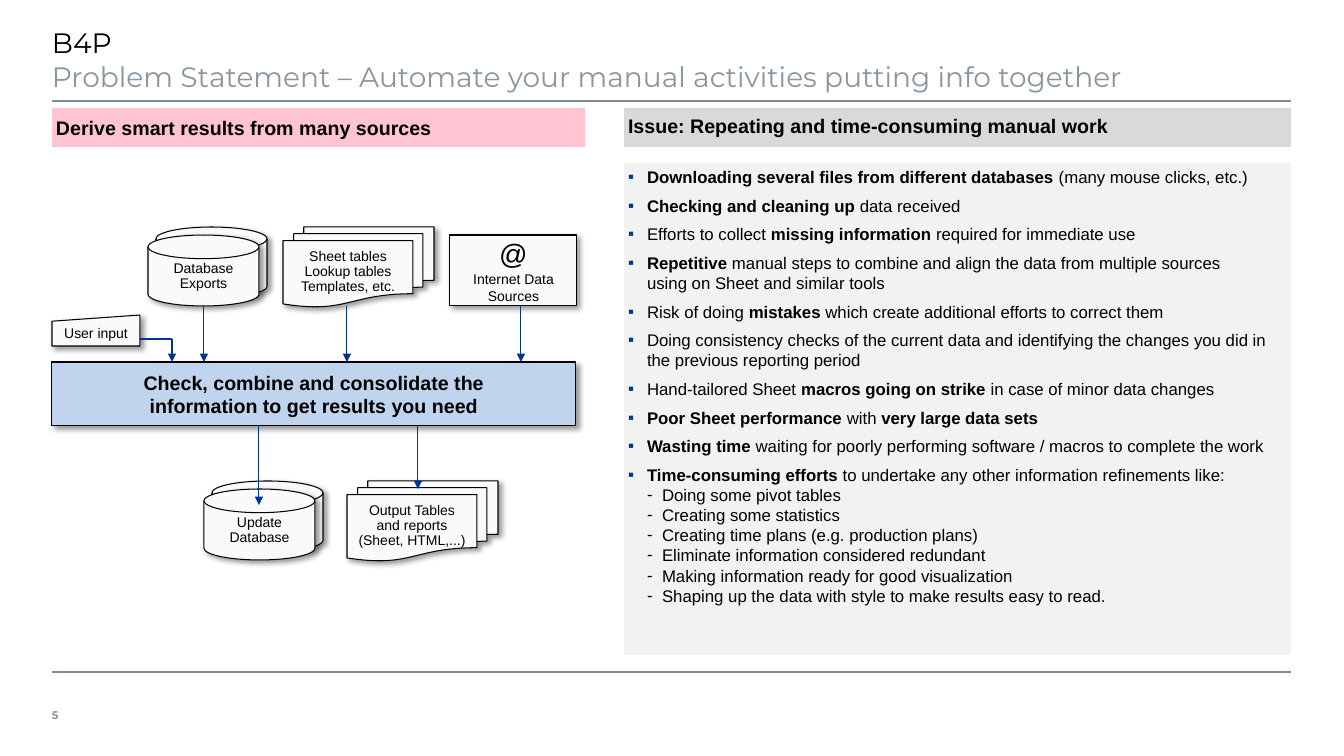
from dataclasses import dataclass

from lxml import etree
from pptx import Presentation
from pptx import util as u
from pptx.dml.color import RGBColor
from pptx.enum import shapes, text
from pptx.oxml import ns

SCALE = 12192000 / 1344
KIND = shapes.MSO_SHAPE
ALIGN = text.PP_ALIGN
ANCHOR = text.MSO_ANCHOR


@dataclass(frozen=True)
class Theme:
    """Colours, fonts and type sizes of the slide."""
    ink: str = "000000"
    muted: str = "8996A0"
    rule: str = "808D97"
    accent: str = "003399"
    pink: str = "FFC4D2"
    grey: str = "D9D9D9"
    panel: str = "F2F2F2"
    paper: str = "FAFAFA"
    blue: str = "C1D4EE"
    body_font: str = "Arial"
    title_font: str = "Montserrat"
    title: int = 20
    heading: int = 14
    body: int = 12
    label: int = 10
    number: int = 8


THEME = Theme()

ISSUES = [
    "**Downloading several files from different databases** (many mouse clicks, etc.)",
    "**Checking and cleaning up **data received",
    "Efforts to collect **missing information **required for immediate use",
    "**Repetitive **manual steps to combine and align the data from multiple sources"
    "\nusing on Sheet and similar tools",
    "Risk of doing **mistakes **which create additional efforts to correct them",
    "Doing consistency checks of the current data and identifying the changes "
    "you did in the previous reporting period",
    "Hand-tailored Sheet **macros going on strike **in case of minor data changes",
    "**Poor Sheet performance** with **very large data sets**",
    "**Wasting time** waiting for poorly performing software / macros to complete the work",
    "**Time-consuming efforts **to undertake any other information refinements like:",
]
REFINEMENTS = [
    "Doing some pivot tables",
    "Creating some statistics",
    "Creating time plans (e.g. production plans)",
    "Eliminate information considered redundant",
    "Making information ready for good visualization",
    "Shaping up the data with style to make results easy to read.",
]


def px(length):
    """Turn pixels into EMU."""
    return u.Emu(round(length * SCALE))


def add_element(parent, tag, **attributes):
    """Append a drawing element to a parent."""
    return etree.SubElement(parent, ns.qn(tag), attributes)


def style(span, size, color=THEME.ink, bold=False, font=THEME.body_font):
    """Format one run."""
    span.font.size = u.Pt(size)
    span.font.bold = bold
    span.font.name = font
    span.font.color.rgb = RGBColor.from_string(color)


def set_frame(box, anchor, left=4, top=4):
    """Set wrapping, anchor and insets of a box."""
    frame = box.text_frame
    frame.word_wrap = True
    frame.vertical_anchor = anchor
    frame.margin_left = frame.margin_right = px(left)
    frame.margin_top = frame.margin_bottom = px(top)
    return frame


def write(box, words, size, align=ALIGN.CENTER, spacing=0.9, bold=False):
    """Write lines of one style into a box."""
    frame = set_frame(box, ANCHOR.MIDDLE)
    frame.text = words
    for para in frame.paragraphs:
        para.alignment = align
        para.line_spacing = spacing
        for span in para.runs:
            style(span, size, bold=bold)


def add_box(page, kind, place, fill):
    """Add a plain filled shape."""
    box = page.shapes.add_shape(kind, *map(px, place))
    box.shadow.inherit = False
    box.fill.solid()
    box.fill.fore_color.rgb = RGBColor.from_string(fill)
    box.line.fill.background()
    return box


def add_node(page, kind, place, fill=THEME.paper):
    """Add an outlined diagram node with a soft shadow."""
    box = add_box(page, kind, place, fill)
    box.line.color.rgb = RGBColor.from_string(THEME.ink)
    box.line.width = u.Pt(0.75)
    effects = box._element.spPr.find(ns.qn("a:effectLst"))
    shadow = add_element(effects, "a:outerShdw", blurRad=str(u.Pt(4)), dist=str(u.Pt(3)),
                         dir="2700000", algn="tl", rotWithShape="0")
    color = add_element(shadow, "a:srgbClr", val=THEME.ink)
    add_element(color, "a:alpha", val="40000")
    return box


def add_line(page, start, end, color=THEME.accent, width=0.75, arrow=True):
    """Add a straight line, with an arrowhead if wanted."""
    line = page.shapes.add_connector(shapes.MSO_CONNECTOR.STRAIGHT, *map(px, start + end))
    line.line.color.rgb = RGBColor.from_string(color)
    line.line.width = u.Pt(width)
    if arrow:
        add_element(line.line._get_or_add_ln(), "a:tailEnd", type="triangle")
    add_element(line._element.spPr, "a:effectLst")


def add_database(page, left, top, words):
    """Add a pair of stacked disks with a label."""
    add_node(page, KIND.FLOWCHART_MAGNETIC_DISK, (left + 8, top, 111, 71))
    front = add_node(page, KIND.FLOWCHART_MAGNETIC_DISK, (left, top + 8, 111, 71))
    write(front, words, THEME.label)


def add_documents(page, left, top, words):
    """Add a stack of documents with a label."""
    stack = add_node(page, KIND.FLOWCHART_MULTIDOCUMENT, (left, top, 151, 80))
    write(stack, words, THEME.label)


def add_heading(page, place, fill, words, spacing):
    """Add a coloured column heading."""
    box = add_box(page, KIND.RECTANGLE, place, fill)
    write(box, words, THEME.heading, ALIGN.LEFT, spacing, bold=True)


def add_bullet(para, marked, mark, color, margin, hang, before):
    """Fill a bulleted paragraph, with bold words between double asterisks."""
    props = para._p.get_or_add_pPr()
    props.set("marL", str(px(margin)))
    props.set("indent", str(-px(hang)))
    add_element(add_element(props, "a:buClr"), "a:srgbClr", val=color)
    add_element(props, "a:buFont", typeface=THEME.body_font)
    add_element(props, "a:buChar", char=mark)
    para.alignment = ALIGN.LEFT
    para.space_before = u.Pt(before)
    for part, words in enumerate(marked.split("**")):
        for row, line in enumerate(words.split("\n")):
            if row:
                para.add_line_break()
                add_element(para._p[-1], "a:rPr", sz=str(THEME.body * 100))
            if line:
                span = para.add_run()
                span.text = line
                style(span, THEME.body, bold=part % 2 == 1)


def add_issues(page):
    """Add the panel with the list of issues."""
    box = add_box(page, KIND.RECTANGLE, (624, 163, 667, 492), THEME.panel)
    frame = set_frame(box, ANCHOR.TOP)
    for index, issue in enumerate(ISSUES):
        para = frame.add_paragraph() if index else frame.paragraphs[0]
        add_bullet(para, issue, "▪", THEME.accent, 19, 19, 6 if index else 0)
    for refinement in REFINEMENTS:
        add_bullet(frame.add_paragraph(), refinement, "-", THEME.ink, 34, 15, 0)


def add_caption(page, place, words, size, colors, anchor, bold=False):
    """Add a text box with one colour for each line."""
    box = page.shapes.add_textbox(*map(px, place))
    frame = set_frame(box, anchor, 0, 5)
    frame.text = words
    for para, color in zip(frame.paragraphs, colors):
        style(para.runs[0], size, color, bold, THEME.title_font)


def add_diagram(page):
    """Add the flow from sources to results."""
    add_database(page, 148, 227, "Database\nExports")
    add_documents(page, 283, 227, "Sheet tables\nLookup tables\nTemplates, etc.")
    internet = add_node(page, KIND.RECTANGLE, (450, 235, 127, 71))
    write(internet, "@\nInternet Data Sources", THEME.label, spacing=1.0)
    internet.text_frame.paragraphs[0].runs[0].font.size = u.Pt(THEME.title)
    process = add_node(page, KIND.RECTANGLE, (52, 362, 524, 64), THEME.blue)
    write(process, "Check, combine and consolidate the\ninformation to get results you need",
          THEME.heading, spacing=1.0, bold=True)
    add_documents(page, 347, 481, "Output Tables\nand reports\n(Sheet, HTML,...)")
    add_database(page, 204, 481, "Update\nDatabase")
    user = add_node(page, KIND.FLOWCHART_MANUAL_INPUT, (52, 315, 88, 31))
    write(user, "User input", THEME.label)
    add_line(page, (140, 339), (172, 339), arrow=False)
    for x, top, bottom in [(172, 339, 362), (204, 306, 362), (347, 306, 362),
                           (521, 306, 362), (259, 426, 505), (418, 426, 489)]:
        add_line(page, (x, top), (x, bottom))


def main():
    """Build the slide and save it."""
    deck = Presentation()
    deck.slide_width, deck.slide_height = px(1344), px(756)
    page = deck.slides.add_slide(deck.slide_layouts[6])
    for y in (101, 672):
        add_line(page, (52, y), (1291, y), THEME.rule, 1, arrow=False)
    add_caption(page, (52, 695, 47, 39), "5", THEME.number, [THEME.muted], ANCHOR.MIDDLE, True)
    add_caption(page, (52, 21, 1238, 80),
                "B4P\nProblem Statement – Automate your manual activities putting info together",
                THEME.title, [THEME.ink, THEME.muted], ANCHOR.TOP)
    add_heading(page, (52, 108, 533, 39), THEME.pink, "Derive smart results from many sources", 1.0)
    add_heading(page, (624, 108, 667, 39), THEME.grey,
                "Issue: Repeating and time-consuming manual work", 0.9)
    add_issues(page)
    add_diagram(page)
    deck.save("out.pptx")


if __name__ == "__main__":
    main()
